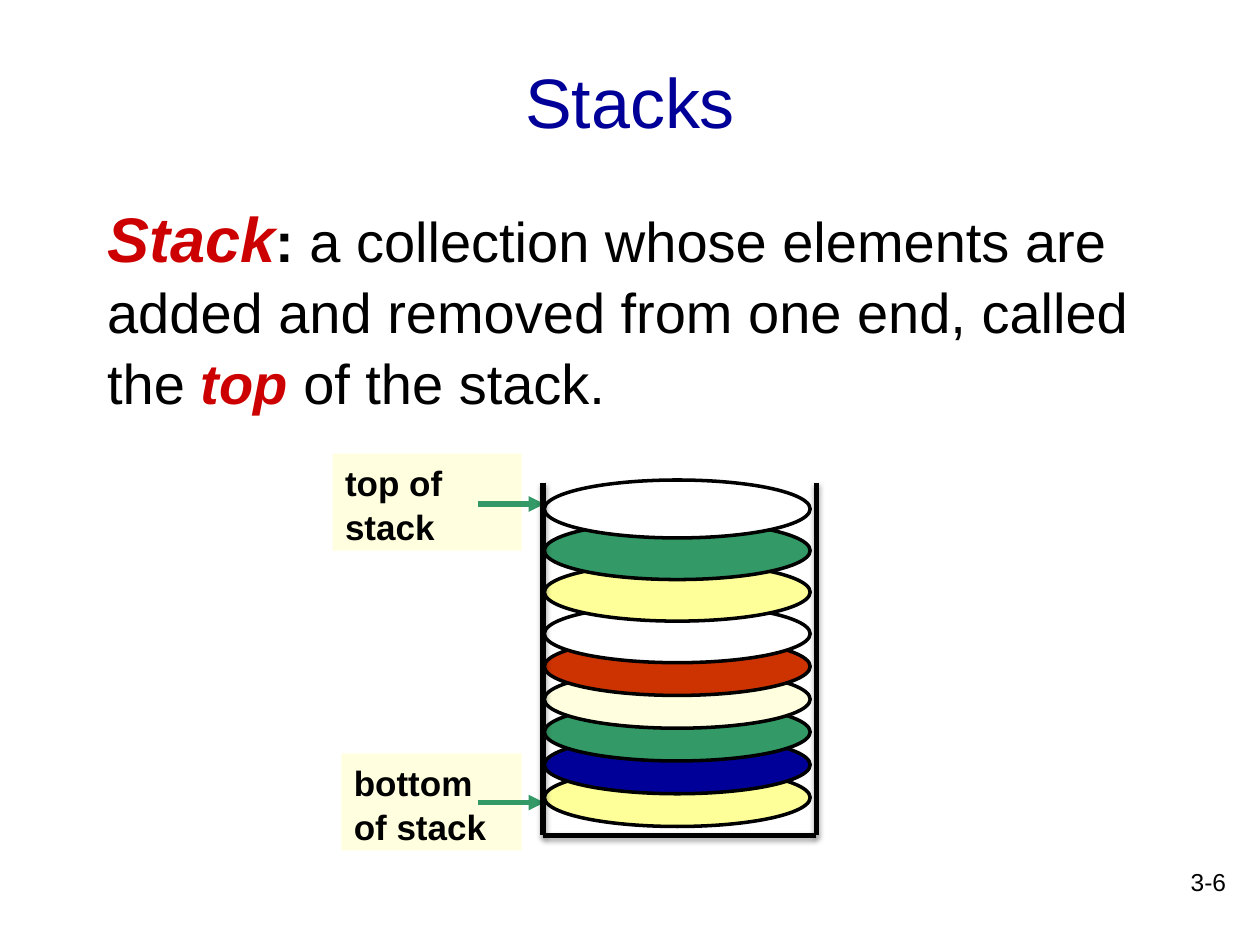
from lxml import etree
from pptx import Presentation
from pptx.dml.color import RGBColor
from pptx.enum.shapes import MSO_CONNECTOR, MSO_SHAPE
from pptx.enum.text import MSO_ANCHOR, PP_ALIGN
from pptx.oxml.ns import qn
from pptx.util import Inches, Pt

OVAL, RECT = MSO_SHAPE.OVAL, MSO_SHAPE.RECTANGLE
LINE = MSO_CONNECTOR.STRAIGHT
LEFT, MID, RIGHT = PP_ALIGN.LEFT, PP_ALIGN.CENTER, PP_ALIGN.RIGHT
TOP, HALF = MSO_ANCHOR.TOP, MSO_ANCHOR.MIDDLE

BLACK, WHITE, NAVY, RED = "000000", "FFFFFF", "000099", "CC0000"
GREEN, GOLD, CREAM, RUST = "339966", "FFFF99", "FFFFDF", "CC3300"


def color(code):
    return RGBColor.from_string(code)


def add_run(para, text, size=32, ink=BLACK, bold=False, slant=False):
    run = para.add_run()
    run.text = text
    font = run.font
    font.name, font.size = "Arial", Pt(size)
    font.bold, font.italic = bold, slant
    font.color.rgb = color(ink)


class Deck:
    def __init__(self):
        self.file = Presentation()
        self.file.slide_width, self.file.slide_height = Inches(10), Inches(7.5)
        self.slide = self.file.slides.add_slide(self.file.slide_layouts[1])
        self.shapes = self.slide.shapes

    def place(self, item, box):
        item.left, item.top, item.width, item.height = map(Inches, box)

    def fill_text(self, item, runs, align=LEFT, anchor=TOP, lead=None):
        frame = item.text_frame
        frame.word_wrap = True
        frame.vertical_anchor = anchor
        para = frame.paragraphs[0]
        para.alignment = align
        para.line_spacing = lead
        for text, style in runs:
            add_run(para, text, **style)
        return para

    def title(self, box, text):
        item = self.shapes.title
        self.place(item, box)
        self.fill_text(item, [(text, dict(size=40, ink=NAVY))], MID, HALF)

    def body(self, box, runs):
        item = self.slide.placeholders[1]
        self.place(item, box)
        para = self.fill_text(item, runs, lead=1.05)
        para.space_before = Pt(0)
        props = para._p.get_or_add_pPr()
        props.set("marL", "0")
        props.set("indent", "0")
        etree.SubElement(props, qn("a:buNone"))

    def text(self, box, text, **style):
        item = self.shapes.add_textbox(*map(Inches, box))
        self.fill_text(item, [(text, style)], RIGHT)

    def shape(self, kind, box, fill, edge=None):
        item = self.shapes.add_shape(kind, *map(Inches, box))
        item.shadow.inherit = False
        item.fill.solid()
        item.fill.fore_color.rgb = color(fill)
        if edge:
            item.line.color.rgb = color(edge)
            item.line.width = Pt(2)
        else:
            item.line.fill.background()
        return item

    def label(self, box, text):
        item = self.shape(RECT, box, CREAM)
        self.fill_text(item, [(text, dict(size=20, bold=True))], lead=1.05)

    def line(self, ends, ink, arrow=False, shade=False):
        item = self.shapes.add_connector(LINE, *map(Inches, ends))
        item.line.color.rgb = color(ink)
        item.line.width = Pt(3)
        props = item._element.spPr
        if arrow:
            etree.SubElement(props.find(qn("a:ln")), qn("a:tailEnd"),
                             type="triangle")
        glow = etree.SubElement(props, qn("a:effectLst"))
        if shade:
            drop = etree.SubElement(
                glow, qn("a:outerShdw"), blurRad=str(Pt(3.1)),
                dist=str(Pt(1.8)), dir="5400000", rotWithShape="0")
            tint = etree.SubElement(drop, qn("a:srgbClr"), val=BLACK)
            etree.SubElement(tint, qn("a:alpha"), val="35000")


def main():
    deck = Deck()

    # Page number, title and definition
    deck.text((7.75, 6.83, 2.08, 0.5), "3-6", size=14)
    deck.title((0.75, 0.17, 8.5, 1.25), "Stacks")
    term = dict(ink=RED, bold=True, slant=True)
    deck.body((0.75, 1.5, 8.5, 1.83), [
        ("Stack", dict(term, size=36)),
        (":", dict(bold=True)),
        (" a collection whose elements are added and removed from one end, "
         "called the ", {}),
        ("top", term),
        (" of the stack.", {}),
    ])

    # Plates from the bottom up; the top three lie further apart
    plates = [GOLD, NAVY, GREEN, CREAM, RUST, WHITE, GOLD, GREEN, WHITE]
    for i, fill in enumerate(plates):
        top = 6.1 - 0.26 * min(i, 5) - 0.33 * max(i - 5, 0)
        deck.shape(OVAL, (4.32, top, 2.11, 0.46), fill, BLACK)

    # Labels and their arrows
    deck.label((2.71, 5.98, 1.43, 0.77), "bottom of stack")
    deck.label((2.64, 3.6, 1.5, 0.77), "top of stack")
    for y in (4, 6.37):
        deck.line((3.79, y, 4.32, y), GREEN, arrow=True)

    # Open holder: left wall, floor, right wall
    left, right, rim, floor = 4.31, 6.48, 3.83, 6.63
    for ends in ((left, rim, left, floor),
                 (left, floor, right, floor),
                 (right, rim, right, floor)):
        deck.line(ends, BLACK, shade=True)

    deck.file.save("out.pptx")


if __name__ == "__main__":
    main()
